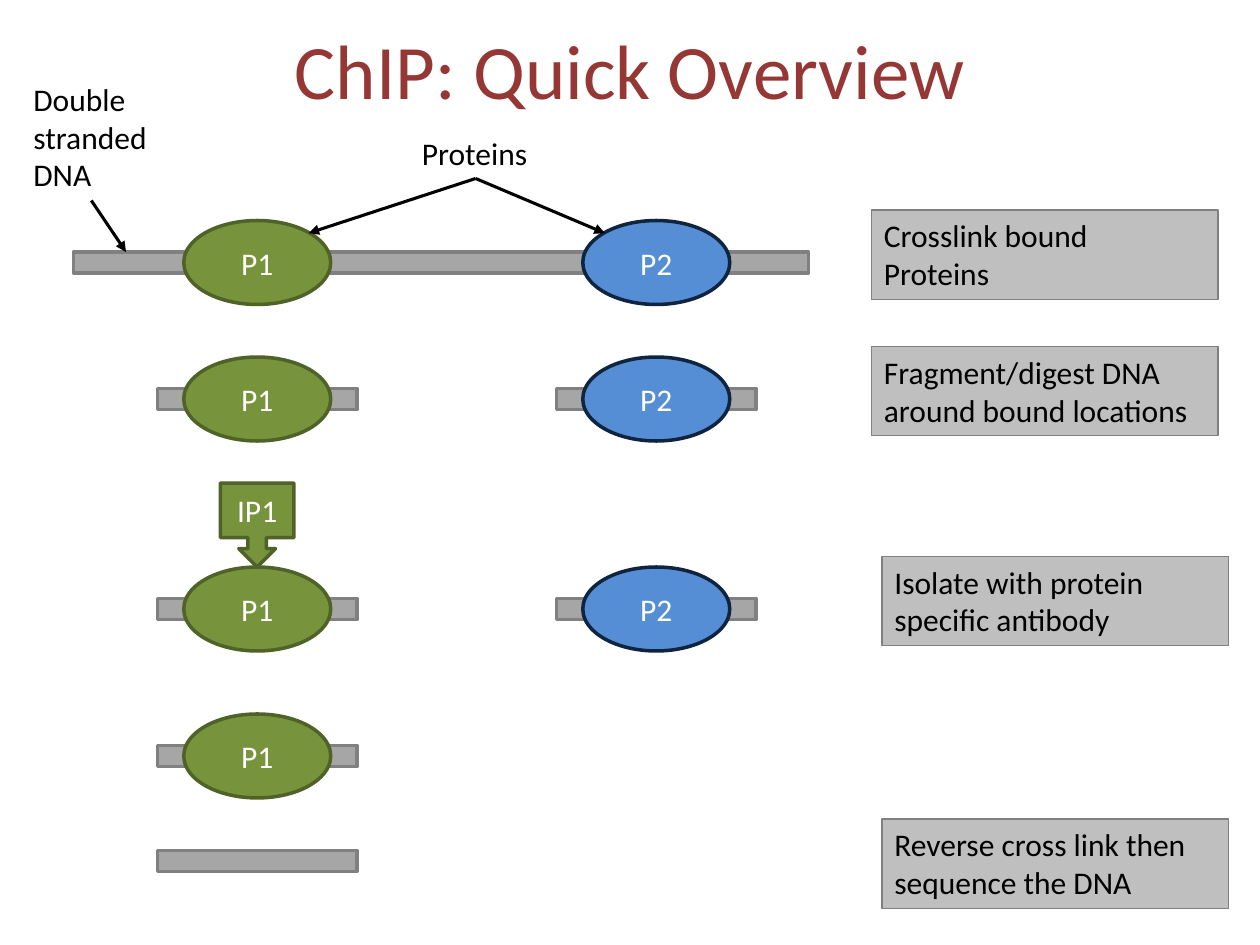
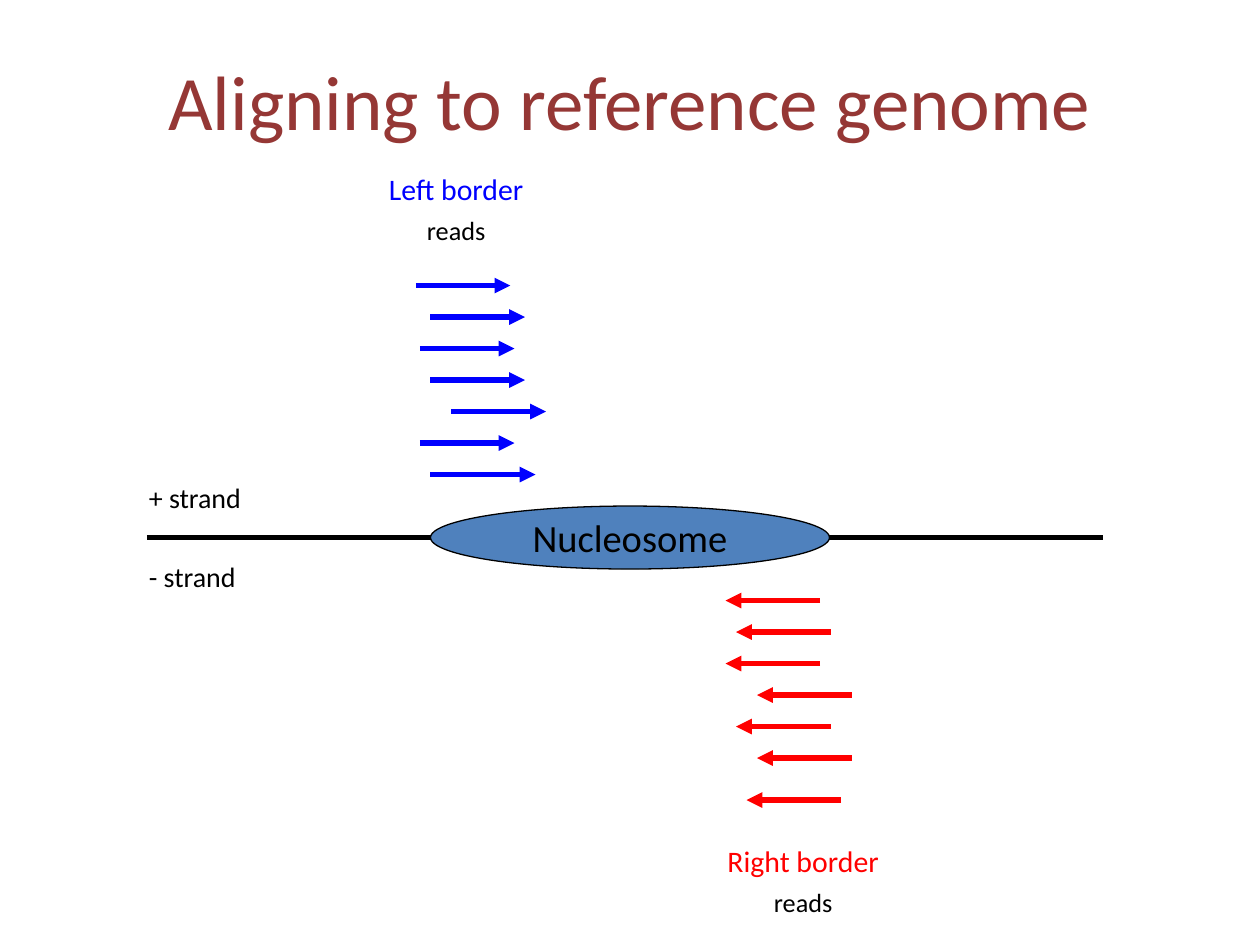
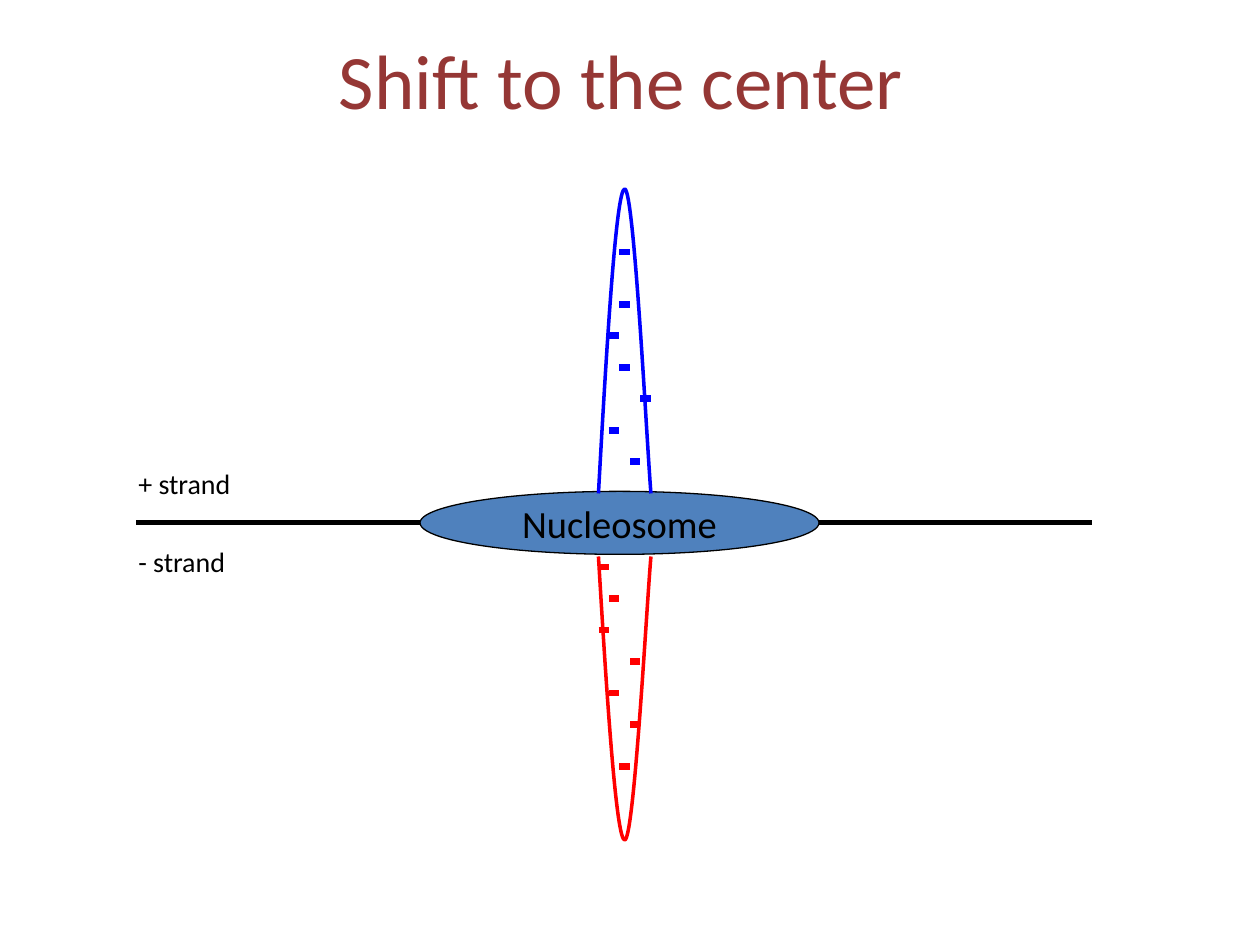
from dataclasses import dataclass
from typing import NamedTuple

from lxml import etree
from pptx import Presentation
from pptx import util as u
from pptx.dml.color import RGBColor
from pptx.enum import shapes, text
from pptx.oxml.ns import qn

PX = 7620  # EMU per px, 120 px to the inch


@dataclass(frozen=True)
class Theme:
    font: str = "Calibri"
    title: str = "953735"
    ink: str = "000000"
    light: str = "FFFFFF"
    dna: str = "A6A6A6"
    dna_line: str = "808080"
    note: str = "BFBFBF"
    green: str = "77933C"
    green_line: str = "4F6228"
    blue: str = "558ED5"
    blue_line: str = "0F243E"
    nucleosome: str = "4F81BD"
    plus: str = "0000FF"
    minus: str = "FF0000"
    title_size: int = 44
    body_size: int = 18
    strand_size: int = 16
    border_size: int = 17
    reads_size: int = 15
    nucleosome_size: int = 22


THEME = Theme()


class Box(NamedTuple):
    left: int
    top: int
    width: int
    height: int


class Line(NamedTuple):
    words: str
    size: int = THEME.body_size
    color: str = THEME.ink


class Point(NamedTuple):
    x: int
    y: int


class Protein(NamedTuple):
    name: str
    center: int
    fill: str
    outline: str


class Note(NamedTuple):
    left: int
    top: int
    lines: tuple[str, ...]


class Read(NamedTuple):
    start: int
    y: int
    length: int


MIDDLE = text.MSO_ANCHOR.MIDDLE
CENTER = text.PP_ALIGN.CENTER
LEFT = text.PP_ALIGN.LEFT
OVAL = shapes.MSO_SHAPE.OVAL
RECTANGLE = shapes.MSO_SHAPE.RECTANGLE
P1 = Protein("P1", 245, THEME.green, THEME.green_line)
P2 = Protein("P2", 625, THEME.blue, THEME.blue_line)


# Shared drawing functions; a parent is a slide or a group

def emu(box: tuple[int, ...]) -> list[int]:
    return [value * PX for value in box]


def write(frame, lines: list[Line], align=LEFT, spacing: float | None = None) -> None:
    for index, line in enumerate(lines):
        paragraph = frame.paragraphs[0] if index == 0 else frame.add_paragraph()
        paragraph.alignment = align
        if spacing:
            paragraph.line_spacing = spacing
        for part, words in enumerate(line.words.split("\n")):
            if part:
                paragraph.add_line_break()
            run = paragraph.add_run()
            run.text = words
            run.font.name = THEME.font
            run.font.size = u.Pt(line.size)
            run.font.color.rgb = RGBColor.from_string(line.color)


def set_line(line, color: str, width: float) -> None:
    line.color.rgb = RGBColor.from_string(color)
    line.width = u.Pt(width)


def add_title_slide(presentation, title: str, top: int):
    slide = presentation.slides.add_slide(presentation.slide_layouts[5])
    shape = slide.shapes.title
    shape.left, shape.top, shape.width, shape.height = emu((60, top, 1080, 150))
    shape.text_frame.vertical_anchor = MIDDLE
    write(shape.text_frame, [Line(title, THEME.title_size, THEME.title)], CENTER)
    return slide


def add_block(parent, kind, box: Box, fill: str, outline: str, width: float):
    shape = parent.shapes.add_shape(kind, *emu(box))
    shape.shadow.inherit = False
    shape.fill.solid()
    shape.fill.fore_color.rgb = RGBColor.from_string(fill)
    set_line(shape.line, outline, width)
    shape.text_frame.vertical_anchor = MIDDLE
    return shape


def add_label(slide, box: Box, lines: list[Line], align=LEFT, spacing: float | None = None) -> None:
    frame = slide.shapes.add_textbox(*emu(box)).text_frame
    frame.word_wrap = False
    write(frame, lines, align, spacing)


def add_stroke(slide, start: Point, end: Point, color: str, width: float, arrow: bool = False) -> None:
    connector = slide.shapes.add_connector(shapes.MSO_CONNECTOR.STRAIGHT, *emu(start + end))
    set_line(connector.line, color, width)
    properties = connector._element.spPr
    if arrow:
        etree.SubElement(properties.find(qn("a:ln")), qn("a:tailEnd"), type="triangle")
    etree.SubElement(properties, qn("a:effectLst"))


def add_reads(slide, reads: list[Read], color: str, width: float, arrow: bool) -> None:
    for read in reads:
        end = Point(read.start + read.length, read.y)
        add_stroke(slide, Point(read.start, read.y), end, color, width, arrow)


# ChIP overview parts

def add_dna(parent, left: int, middle: int, width: int) -> None:
    add_block(parent, RECTANGLE, Box(left, middle - 10, width, 20), THEME.dna, THEME.dna_line, 2)


def add_protein(parent, protein: Protein, middle: int) -> None:
    box = Box(protein.center - 70, middle - 40, 140, 80)
    shape = add_block(parent, OVAL, box, protein.fill, protein.outline, 2)
    write(shape.text_frame, [Line(protein.name, color=THEME.light)], CENTER)


def add_fragment(slide, protein: Protein, middle: int):
    group = slide.shapes.add_group_shape()
    add_dna(group, protein.center - 95, middle, 190)
    add_protein(group, protein, middle)
    return group


def add_note(slide, note: Note) -> None:
    box = Box(note.left, note.top, 330, 85)
    shape = add_block(slide, RECTANGLE, box, THEME.note, THEME.dna_line, 0.75)
    shape.text_frame.vertical_anchor = text.MSO_ANCHOR.TOP
    write(shape.text_frame, [Line(words) for words in note.lines])


def build_overview(presentation) -> None:
    slide = add_title_slide(presentation, "ChIP: Quick Overview", -10)

    # DNA with bound proteins, then the fragments
    bound = slide.shapes.add_group_shape()
    add_dna(bound, 70, 250, 700)
    for protein in (P1, P2):
        add_protein(bound, protein, 250)
    for protein, middle in ((P1, 380), (P2, 380), (P2, 580)):
        add_fragment(slide, protein, middle)

    # Fragment caught by its antibody
    caught = add_fragment(slide, P1, 580)
    antibody = add_block(caught, shapes.MSO_SHAPE.DOWN_ARROW_CALLOUT, Box(210, 460, 70, 80),
                         P1.fill, P1.outline, 2)
    write(antibody.text_frame, [Line("IP1", color=THEME.light)], CENTER)

    # Steps
    for note in (
        Note(830, 200, ("Crosslink bound", "Proteins")),
        Note(830, 330, ("Fragment/digest DNA around bound locations",)),
        Note(840, 530, ("Isolate with protein specific antibody",)),
        Note(840, 780, ("Reverse cross link then sequence the DNA",)),
    ):
        add_note(slide, note)

    # Labels and pointers
    add_label(slide, Box(20, 70, 133, 121), [Line("Double \nstranded"), Line("DNA")])
    add_label(slide, Box(390, 122, 126, 48), [Line("Proteins")])
    for start, end in (
        (Point(453, 170), Point(294, 222)),
        (Point(453, 170), Point(576, 222)),
        (Point(87, 191), Point(120, 240)),
    ):
        add_stroke(slide, start, end, THEME.ink, 1.75, arrow=True)

    # Isolated fragment and its freed DNA
    add_fragment(slide, P1, 720)
    add_dna(slide, 150, 820, 190)


# Nucleosome slides

def add_nucleosome(slide, left: int, middle: int) -> None:
    add_stroke(slide, Point(left + 10, middle), Point(left + 920, middle), THEME.ink, 2.75)
    for words, top, width in (("+ strand", middle - 60, 113), ("- strand", middle + 15, 108)):
        add_label(slide, Box(left, top, width, 44), [Line(words, THEME.strand_size)])
    shape = add_block(slide, OVAL, Box(left + 280, middle - 30, 380, 60),
                      THEME.nucleosome, THEME.ink, 0.75)
    shape.text_frame.word_wrap = False
    write(shape.text_frame, [Line("Nucleosome", THEME.nucleosome_size)], CENTER)


def add_border_label(slide, box: Box, words: str, color: str) -> None:
    lines = [Line(words, THEME.border_size, color), Line("reads", THEME.reads_size)]
    add_label(slide, box, lines, CENTER, 1.25)


def build_alignment(presentation) -> None:
    slide = add_title_slide(presentation, "Aligning to reference genome", 20)
    add_nucleosome(slide, 130, 512)

    left_starts = (396, 410, 400, 410, 430, 400)
    left_reads = [Read(start, 272 + 30 * row, 90) for row, start in enumerate(left_starts)]
    add_reads(slide, left_reads + [Read(410, 452, 100)], THEME.plus, 3, True)

    right_starts = (781, 791, 781, 811, 791, 811)
    right_reads = [Read(start, 572 + 30 * row, -90) for row, start in enumerate(right_starts)]
    add_reads(slide, right_reads + [Read(801, 762, -90)], THEME.minus, 3, True)

    add_border_label(slide, Box(353, 148, 163, 92), "Left border", THEME.plus)
    add_border_label(slide, Box(674, 788, 182, 92), "Right border", THEME.minus)


def add_peak(slide, base: int, tip: int, shoulder: int, color: str) -> None:
    start, top, end = Point(570, base), Point(595, tip), Point(620, base)
    rise = (Point(578, (base + tip) // 2), Point(587, tip), top)
    fall = (Point(604, tip), Point(616, shoulder), end)
    builder = slide.shapes.build_freeform(start.x, start.y, scale=PX)
    builder.add_line_segments([top, end], close=False)
    shape = builder.convert_to_shape()
    shape.shadow.inherit = False
    shape.fill.background()
    set_line(shape.line, color, 2)

    # Bend each straight segment into a cubic curve
    segments = list(shape._element.iter(qn("a:lnTo")))
    for segment, points in zip(segments, (rise, fall)):
        curve = etree.Element(qn("a:cubicBezTo"))
        for point in points:
            etree.SubElement(curve, qn("a:pt"), x=str(point.x - start.x),
                             y=str(point.y - min(base, tip)))
        segment.getparent().replace(segment, curve)


def build_shift(presentation) -> None:
    slide = add_title_slide(presentation, "Shift to the center ", 0)
    add_nucleosome(slide, 120, 498)

    plus_starts = (590, 580, 590, 610, 580, 600)
    plus_reads = [Read(start, 290 + 30 * row, 10) for row, start in enumerate(plus_starts)]
    add_reads(slide, [Read(590, 240, 10)] + plus_reads, THEME.plus, 4, False)

    minus_starts = (570, 580, 570, 600, 580, 600)
    minus_reads = [Read(start, 540 + 30 * row, 10) for row, start in enumerate(minus_starts)]
    add_reads(slide, minus_reads + [Read(590, 730, 10)], THEME.minus, 4, False)

    add_peak(slide, 470, 180, 421, THEME.plus)
    add_peak(slide, 530, 800, 575, THEME.minus)


def main() -> None:
    presentation = Presentation()
    presentation.slide_width, presentation.slide_height = emu((1200, 900))
    build_overview(presentation)
    build_alignment(presentation)
    build_shift(presentation)
    presentation.save("out.pptx")


if __name__ == "__main__":
    main()
